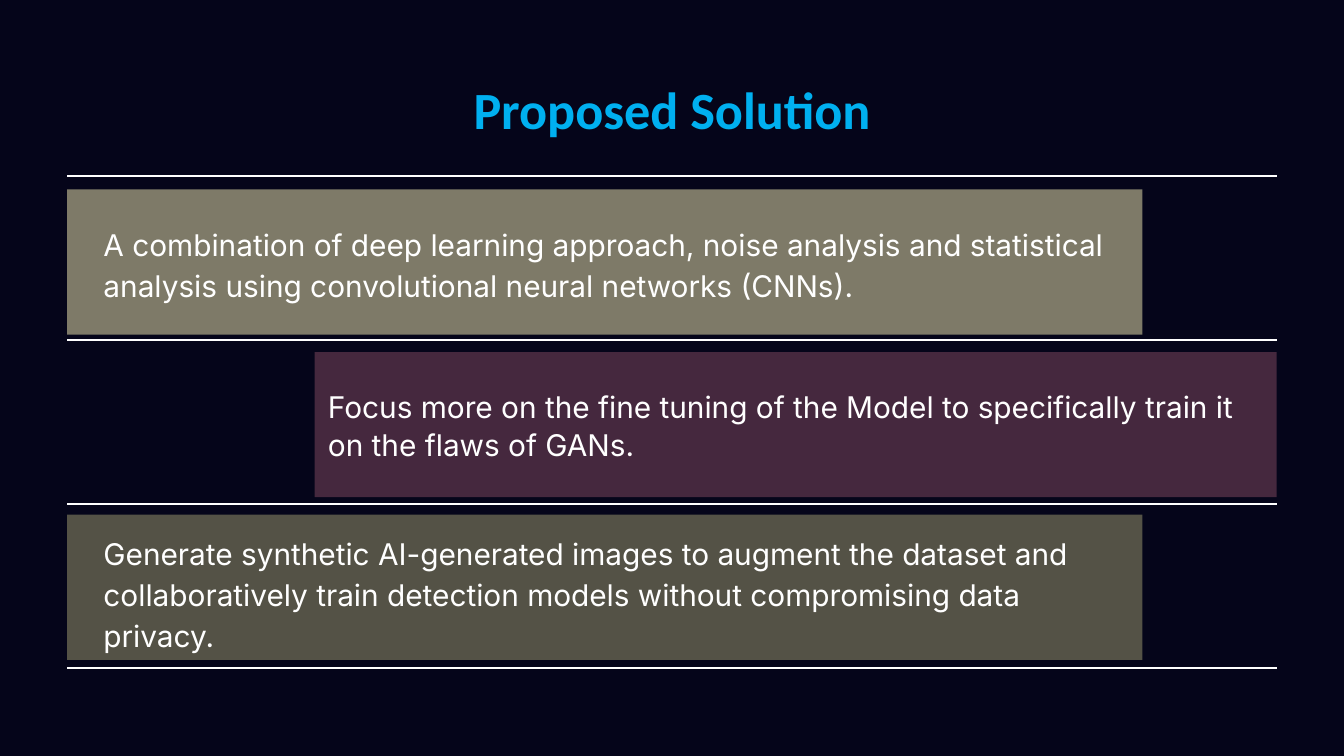
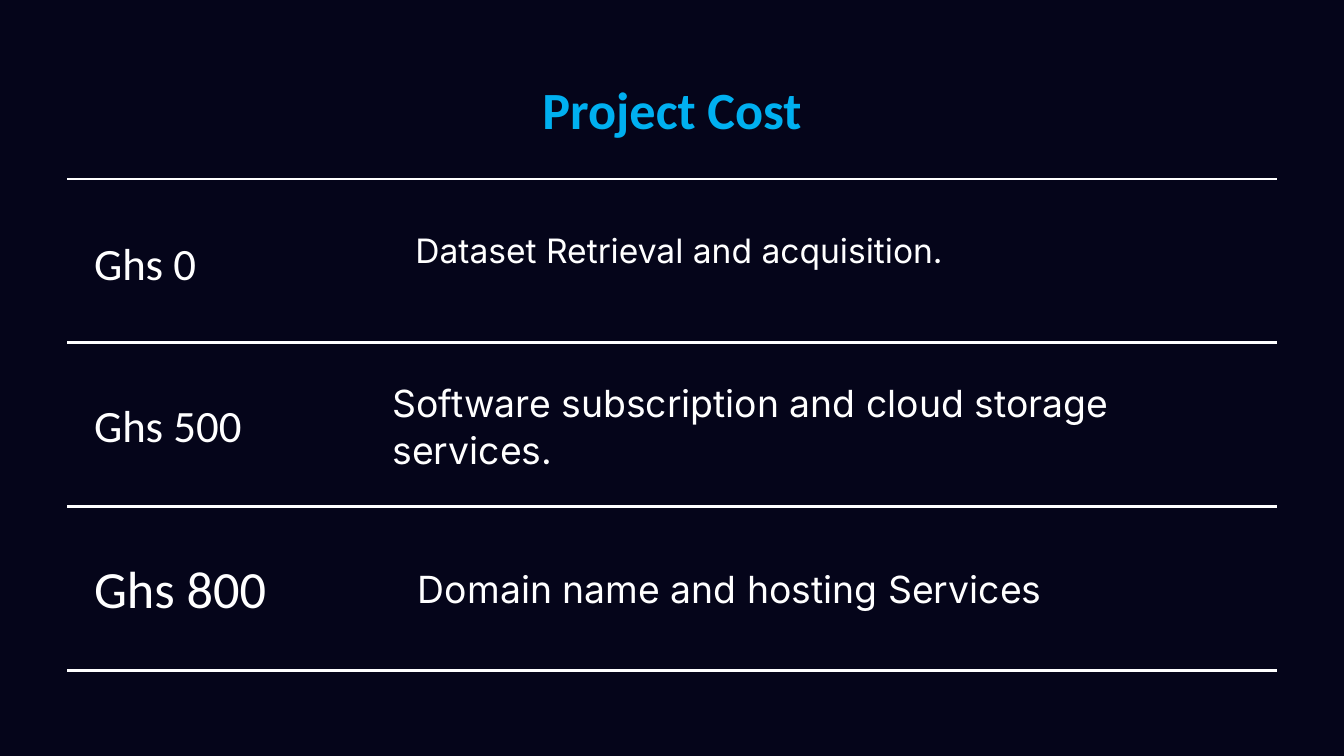
from lxml.etree import SubElement
from pptx import Presentation
from pptx.dml.color import RGBColor
from pptx.enum.text import MSO_ANCHOR, MSO_AUTO_SIZE, PP_ALIGN
from pptx.oxml.ns import qn
from pptx.util import Emu, Pt

PX = 9144  # 100 px to the inch
NIGHT, SKY, WHITE = "05051A", "00B0F0", "FFFFFF"
OLIVE, PLUM, MOSS = "7E7A68", "45283E", "545246"
HEADING_FONT, BODY_FONT = "Calibri", "Inter"
NO_GRID_STYLE = "{2D5ABB26-0587-4C30-8999-92F81FD0307C}"

LEFT, WIDTH = 50, 900
FIRST_ROW, ROW_STEP, ROW_HEIGHT = 141, 121, 108
COLUMNS, RULE_STEP = (227, 673), 122

# Left, width, fill, text, format
SOLUTIONS = [
    (50, 800, OLIVE,
     "A combination of deep learning approach, noise analysis and statistical "
     "analysis using convolutional neural networks (CNNs).",
     dict(indent=17, line=1.15)),
    (234, 716, PLUM,
     "Focus more on the fine tuning of the Model to specifically train it "
     "on the flaws of GANs.",
     dict(line=1.05, after=10)),
    (50, 800, MOSS,
     "Generate synthetic AI-generated images to augment the dataset and "
     "collaboratively train detection models without compromising data privacy.",
     dict(indent=17, line=1.15, insets=(10, 8, 10, 1))),
]
# Amount, its size, left, width, text, format
COSTS = [
    ("Ghs 0", 24, 282, 562, "Dataset Retrieval and acquisition.",
     dict(size=18, indent=17, line=1.15, insets=(10, 10, 10, 32))),
    ("Ghs 500", 24, 282, 589, "Software subscription and cloud storage services.",
     dict(size=20, line=1.05, after=10)),
    ("Ghs 800", 28, 301, 549, "Domain name and hosting Services",
     dict(size=20, line=1.05, after=10)),
]


def px(length):
    return Emu(length * PX)


def color(value):
    return RGBColor.from_string(value)


def place(shape, left, top, width, height):
    shape.left, shape.top = px(left), px(top)
    shape.width, shape.height = px(width), px(height)


def write(shape, text, size=16, font=BODY_FONT, fill=WHITE, bold=False,
          align=PP_ALIGN.LEFT, indent=0, line=1.0, after=0,
          insets=(10, 10, 10, 10)):
    frame = shape.text_frame
    frame.word_wrap = True
    frame.auto_size = MSO_AUTO_SIZE.NONE
    frame.vertical_anchor = MSO_ANCHOR.MIDDLE
    (frame.margin_left, frame.margin_top,
     frame.margin_right, frame.margin_bottom) = map(px, insets)
    para = frame.paragraphs[0]
    para.alignment, para.line_spacing = align, line
    para.space_before, para.space_after = Pt(0), Pt(after)
    # No bullet, and an even left edge
    properties = para._p.get_or_add_pPr()
    properties.set("marL", str(px(indent)))
    properties.set("indent", "0")
    SubElement(properties, qn("a:buNone"))
    span = para.add_run()
    span.text = text
    span.font.name, span.font.size, span.font.bold = font, Pt(size), bold
    span.font.color.rgb = color(fill)


def add_rules(page, top):
    """Empty table whose horizontal borders rule off the three rows."""
    frame = page.shapes.add_table(3, len(COLUMNS), px(LEFT), px(top),
                                  px(WIDTH), px(3 * RULE_STEP))
    table = frame.table
    table.first_row = table.horz_banding = False
    table._tbl.tblPr.find(qn("a:tableStyleId")).text = NO_GRID_STYLE
    for column, width in zip(table.columns, COLUMNS):
        column.width = px(width)
    for row in table.rows:
        row.height = px(RULE_STEP)
        for cell in row.cells:
            properties = cell._tc.get_or_add_tcPr()
            for side in ("a:lnT", "a:lnB"):
                border = SubElement(properties, qn(side), w=str(Pt(1.5)))
                solid = SubElement(border, qn("a:solidFill"))
                SubElement(solid, qn("a:srgbClr"), val=WHITE)
            cell.fill.background()
    # Send the table behind the text
    page.shapes._spTree.insert(2, frame._element)


def add_page(deck, title, rules_top):
    """Titled, ruled page; returns it with its three body placeholders."""
    page = deck.slides.add_slide(deck.slide_layouts.get_by_name("Comparison"))
    place(page.shapes.title, LEFT, 49, WIDTH, 63)
    write(page.shapes.title, title, size=28, font=HEADING_FONT, fill=SKY,
          bold=True, align=PP_ALIGN.CENTER)
    *bodies, spare = list(page.placeholders)[1:]
    spare._element.getparent().remove(spare._element)
    add_rules(page, rules_top)
    return page, bodies


def solution_page(deck):
    _, bodies = add_page(deck, "Proposed Solution", 131)
    for row, (body, solution) in enumerate(zip(bodies, SOLUTIONS)):
        left, width, fill, text, style = solution
        place(body, left, FIRST_ROW + row * ROW_STEP, width, ROW_HEIGHT)
        body.fill.solid()
        body.fill.fore_color.rgb = color(fill)
        write(body, text, **style)


def cost_page(deck):
    page, bodies = add_page(deck, "Project Cost", 133)
    for row, (body, cost) in enumerate(zip(bodies, COSTS)):
        amount, size, left, width, text, style = cost
        top = FIRST_ROW + row * ROW_STEP
        place(body, left, top, width, ROW_HEIGHT)
        write(body, text, **style)
        box = page.shapes.add_textbox(px(LEFT), px(top), px(200), px(ROW_HEIGHT))
        write(box, amount, size=size, font=HEADING_FONT, after=10,
              insets=(20, 10, 10, 10))


def main():
    deck = Presentation()
    # Widescreen, 16:9
    deck.slide_width = px(1000)
    deck.slide_height = deck.slide_width * 9 // 16
    background = deck.slide_master.background.fill
    background.solid()
    background.fore_color.rgb = color(NIGHT)
    solution_page(deck)
    cost_page(deck)
    deck.save("out.pptx")


if __name__ == "__main__":
    main()
